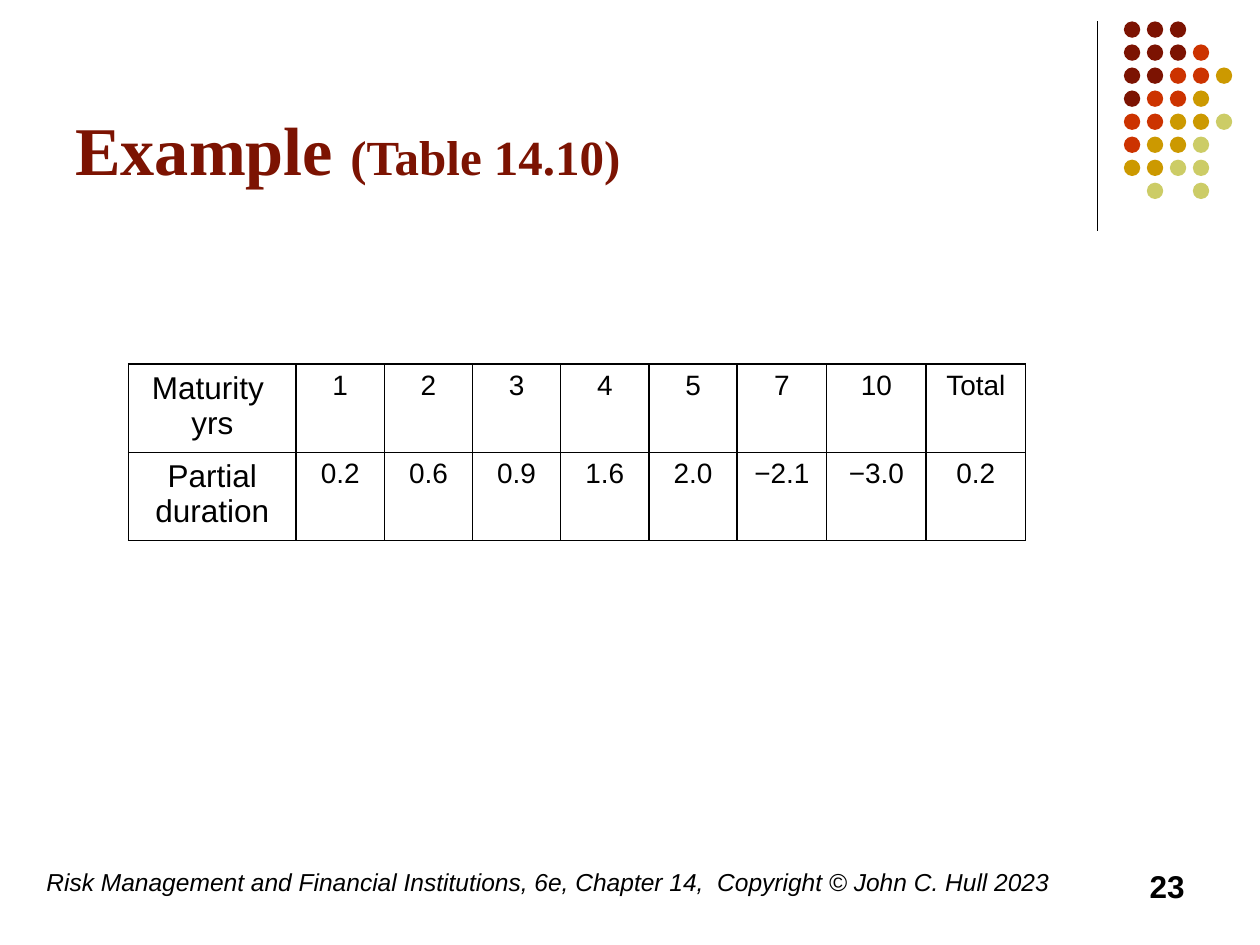
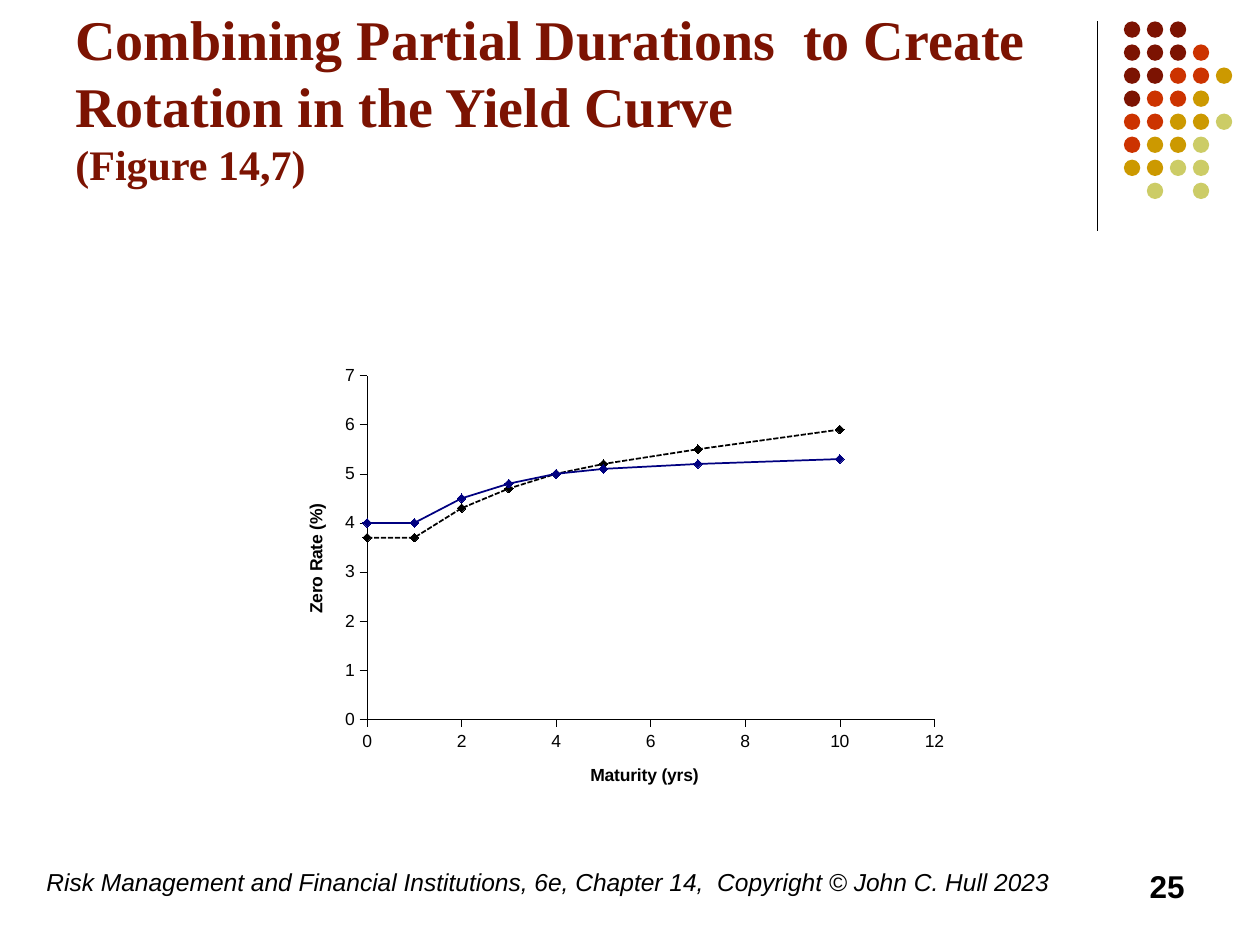
from lxml.etree import SubElement
from pptx import Presentation
from pptx.chart.data import XyChartData
from pptx.dml.color import RGBColor
from pptx.enum.chart import XL_CHART_TYPE as Kind, XL_MARKER_STYLE as Mark, XL_TICK_MARK as Tick
from pptx.enum.dml import MSO_LINE as Dash
from pptx.enum.shapes import MSO_CONNECTOR as Conn, MSO_SHAPE as Form
from pptx.enum.text import MSO_ANCHOR as Anchor, PP_ALIGN as Align
from pptx.oxml import parse_xml
from pptx.oxml.ns import nsdecls, qn
from pptx.util import Inches, Pt

BLACK, WHITE, WINE = "000000", "FFFFFF", "7C1302"
HUES = {"W": WINE, "R": "CC3300", "G": "CC9900", "L": "CCCC66"}
DOTS = ["WWW", "WWWR", "WWRRG", "WRRG", "RRGGL", "RGGL", "GGLL", " L L"]
FOOT = ("Risk Management and Financial Institutions, 6e, Chapter 14,  "
        "Copyright © John C. Hull 2023")


def color(code):
    return RGBColor.from_string(code)


def write(para, text, size, face="Arial", ink=BLACK, bold=False, italic=False):
    run = para.add_run()
    run.text = text
    font = run.font
    font.name, font.size, font.bold, font.italic = face, Pt(size), bold, italic
    font.color.rgb = color(ink)


deck = Presentation()
deck.slide_width, deck.slide_height = Inches(10), Inches(7.5)

heads = [
    ([("Example ", 39), ("(Table 14.10)", 28)], "23"),
    ([("Combining Partial Durations  to Create Rotation in the Yield Curve ", 32),
      None, ("(Figure 14,7)", 24)], "25"),
]
for title, page in heads:
    slide = deck.slides.add_slide(deck.slide_layouts[6])
    rule = slide.shapes.add_connector(
        Conn.STRAIGHT, Inches(8.71), Inches(0.17), Inches(8.71), Inches(1.83))
    rule.line.color.rgb = color(BLACK)
    rule.line.width = Pt(0.75)
    SubElement(rule._element.spPr, qn("a:effectLst"))

    group = slide.shapes.add_group_shape()
    for row, line in enumerate(DOTS):
        for col, key in enumerate(line):
            if key in HUES:
                dot = group.shapes.add_shape(
                    Form.OVAL, Inches(8.92 + col * 0.73 / 4),
                    Inches(0.17 + row * 1.28 / 7), Inches(0.13), Inches(0.13))
                dot.shadow.inherit = False
                dot.fill.solid()
                dot.fill.fore_color.rgb = color(HUES[key])
                dot.line.fill.background()

    frame = slide.shapes.add_textbox(
        Inches(0.5), Inches(0.13), Inches(8.25), Inches(1.42)).text_frame
    frame.word_wrap = True
    frame.vertical_anchor = Anchor.BOTTOM
    para = frame.paragraphs[0]
    for part in title:
        if part:
            write(para, *part, face="Times New Roman", ink=WINE, bold=True)
        else:
            para.add_line_break()

    frame = slide.shapes.add_textbox(
        Inches(0.27), Inches(6.83), Inches(8.27), Inches(0.5)).text_frame
    frame.word_wrap = True
    write(frame.paragraphs[0], FOOT, 14, italic=True)

    frame = slide.shapes.add_textbox(
        Inches(7.17), Inches(6.83), Inches(2.33), Inches(0.5)).text_frame
    frame.word_wrap = True
    frame.paragraphs[0].alignment = Align.RIGHT
    write(frame.paragraphs[0], page, 18, bold=True)

first, last = deck.slides

rows = [
    ["Maturity \nyrs", "1", "2", "3", "4", "5", "7", "10", "Total"],
    ["Partial duration", "0.2", "0.6", "0.9", "1.6", "2.0", "−2.1", "−3.0", "0.2"],
]
wide = [1.33] + [0.7] * 5 + [0.71] + [0.79] * 2
table = first.shapes.add_table(
    len(rows), len(wide), Inches(1.02), Inches(2.89),
    Inches(sum(wide)), Inches(1.4)).table
table.first_row = table.horz_banding = False
for col, width in zip(table.columns, wide):
    col.width = Inches(width)
for r, row in enumerate(rows):
    table.rows[r].height = Inches(0.7)
    for c, text in enumerate(row):
        cell = table.cell(r, c)
        cell.fill.background()
        for n, line in enumerate(text.split("\n")):
            frame = cell.text_frame
            para = frame.add_paragraph() if n else frame.paragraphs[0]
            para.alignment = Align.CENTER
            write(para, line, 16 if c else 18)
        for n, side in enumerate(["lnL", "lnR", "lnT", "lnB"]):
            cell._tc.get_or_add_tcPr().insert(n, parse_xml(
                f'<a:{side} {nsdecls("a")} w="12700"><a:solidFill>'
                f'<a:srgbClr val="{BLACK}"/></a:solidFill></a:{side}>'))

years = [0, 1, 2, 3, 4, 5, 7, 10]
curves = [
    ("Series 1", [4, 4, 4.5, 4.8, 5, 5.1, 5.2, 5.3], "000080", Dash.SOLID),
    ("Series 2", [3.7, 3.7, 4.3, 4.7, 5, 5.2, 5.5, 5.9], BLACK, Dash.SQUARE_DOT),
]
data = XyChartData()
for name, rates, ink, dash in curves:
    plot = data.add_series(name)
    for year, rate in zip(years, rates):
        plot.add_data_point(year, rate)
chart = last.shapes.add_chart(
    Kind.XY_SCATTER_LINES, Inches(2.27), Inches(2.73),
    Inches(5.36), Inches(3.59), data).chart
chart.has_legend = chart.has_title = False
chart.font.name, chart.font.size = "Arial", Pt(10)
chart.font.color.rgb = color(BLACK)
chart.plots[0].vary_by_categories = False

for plot, (name, rates, ink, dash) in zip(chart.plots[0].series, curves):
    plot.smooth = False
    plot.format.line.color.rgb = color(ink)
    plot.format.line.width = Pt(1)
    plot.format.line.dash_style = dash
    plot.marker.style, plot.marker.size = Mark.DIAMOND, 5
    plot.marker.format.fill.solid()
    plot.marker.format.fill.fore_color.rgb = color(ink)
    plot.marker.format.line.color.rgb = color(ink)

axes = [(chart.category_axis, "Maturity (yrs)", 12, 2, "0"),
        (chart.value_axis, "Zero Rate (%)", 7, 1, "-5400000")]
for axis, label, top, step, turn in axes:
    axis.minimum_scale, axis.maximum_scale, axis.major_unit = 0, top, step
    axis.major_tick_mark, axis.minor_tick_mark = Tick.OUTSIDE, Tick.NONE
    axis.has_major_gridlines = False
    axis.tick_labels.number_format = "General"
    axis.tick_labels.number_format_is_linked = False
    axis.format.line.color.rgb = color(BLACK)
    axis.format.line.width = Pt(0.25)
    frame = axis.axis_title.text_frame
    write(frame.paragraphs[0], label, 10, bold=True)
    frame._txBody.bodyPr.set("rot", turn)

grid = chart.value_axis.major_gridlines.format.line
grid.color.rgb = color(WHITE)
grid.width = Pt(0.25)

area = chart._chartSpace.chart.plotArea
for old in area.findall(qn("c:layout")):
    area.remove(old)
spots = [("layoutTarget", "inner"), ("xMode", "edge"), ("yMode", "edge"),
         ("x", 0.12), ("y", 0.07), ("w", 0.84), ("h", 0.76)]
marks = "".join(f'<c:{tag} val="{val}"/>' for tag, val in spots)
area.insert(0, parse_xml(
    f'<c:layout {nsdecls("c")}><c:manualLayout>{marks}</c:manualLayout></c:layout>'))

deck.save("out.pptx")
